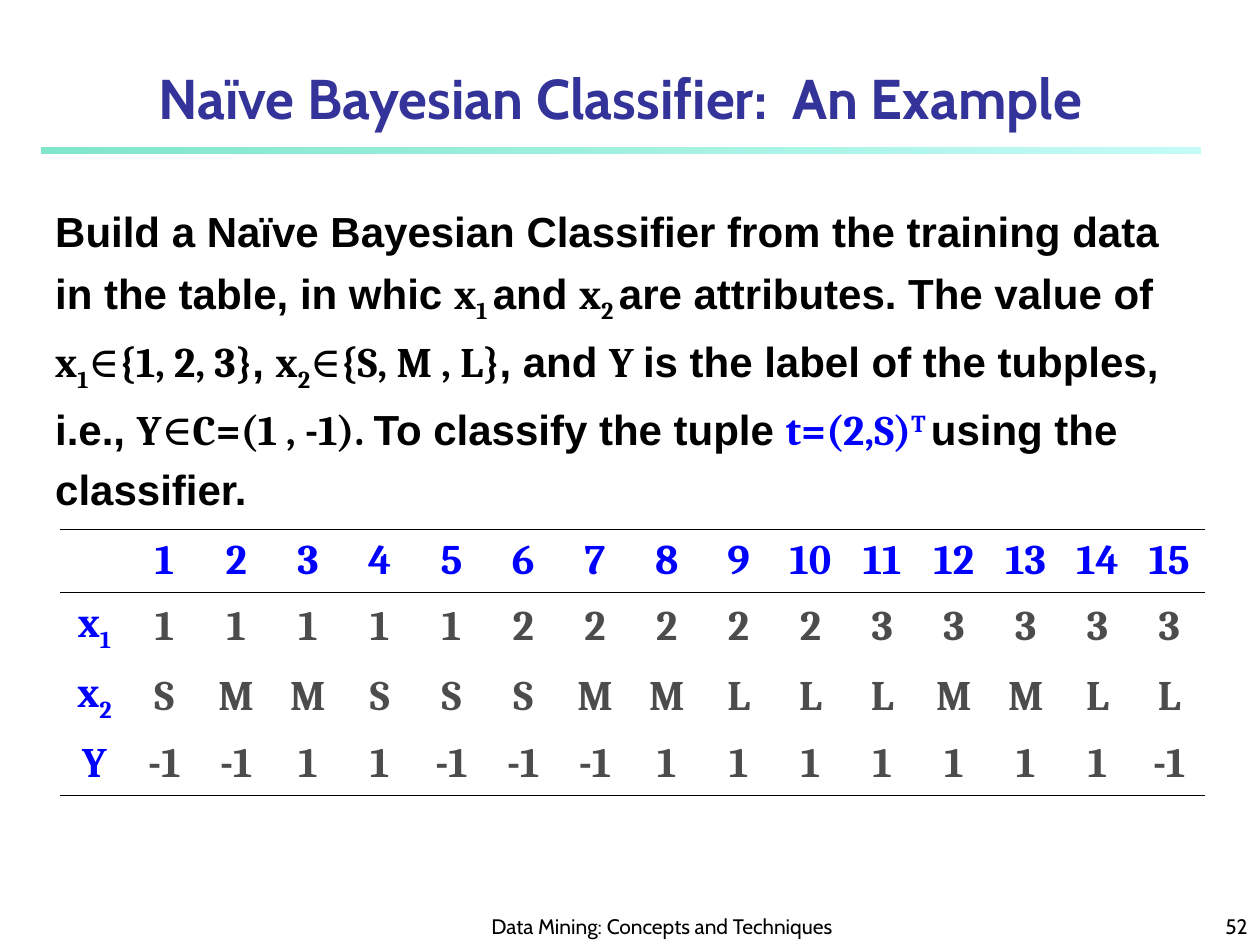
from lxml import etree
from pptx import Presentation
from pptx.dml.color import RGBColor
from pptx.enum.shapes import MSO_SHAPE
from pptx.enum.text import MSO_ANCHOR, PP_ALIGN
from pptx.oxml.ns import qn
from pptx.util import Inches, Pt

RECTANGLE = MSO_SHAPE.RECTANGLE
TOP, MIDDLE, BOTTOM = MSO_ANCHOR.TOP, MSO_ANCHOR.MIDDLE, MSO_ANCHOR.BOTTOM
LEFT, CENTER, RIGHT = PP_ALIGN.LEFT, PP_ALIGN.CENTER, PP_ALIGN.RIGHT

COLORS = {
    "title": "333399",
    "text": "000000",
    "accent": "0000FF",
    "value": "4C4C4C",
    "rule_start": "00CE98",
    "rule_end": "8FF9EF",
}
SUBSCRIPT, SUPERSCRIPT = -25, 30

MATH = {"font": "Cambria"}
SUB = {"font": "Cambria", "baseline": SUBSCRIPT}
ELEMENT = {"font": "Cambria", "bold": False}
TUPLE = {"font": "Cambria", "color": "accent"}
PROBLEM = [
    ("Build a Naïve Bayesian Classifier from the training data in the table, in whic ", {}),
    ("x", MATH), ("1 ", SUB), ("and ", {}), ("x", MATH), ("2 ", SUB),
    ("are attributes. The value of ", {}),
    ("x", MATH), ("1", SUB), ("∈", ELEMENT), ("{1, 2, 3}", MATH), (", ", {}),
    ("x", MATH), ("2", SUB), ("∈", ELEMENT), ("{S, M , L}", MATH), (", and ", {}),
    ("Y ", MATH), ("is the label of the tubples, i.e., ", {}),
    ("Y", MATH), ("∈", ELEMENT), ("C=(1 , -1). ", MATH),
    ("To classify the tuple ", {}), ("t=(2,S)", TUPLE),
    ("T ", {**TUPLE, "baseline": SUPERSCRIPT}), ("using the classifier.", {}),
]
TRAINING_DATA = [
    [""] + [str(number) for number in range(1, 16)],
    ["x1"] + ["1"] * 5 + ["2"] * 5 + ["3"] * 5,
    ["x2"] + "S M M S S S M M L L L M M L L".split(),
    ["Y"] + "-1 -1 1 1 -1 -1 -1 1 1 1 1 1 1 1 -1".split(),
]
ROW_HEIGHTS = [0.43, 0.5, 0.5, 0.43]


def add_span(para, text, size=24, font="Arial", color="text", bold=True, baseline=0):
    """Append a formatted run to a paragraph."""
    span = para.add_run()
    span.text = text
    span.font.size = Pt(size)
    span.font.name = font
    span.font.bold = bold
    span.font.color.rgb = RGBColor.from_string(COLORS[color])
    if baseline:
        span.font._element.set("baseline", str(baseline * 1000))


def add_text(page, left, top, width, height, spans, align=LEFT, anchor=TOP):
    """Add a wrapped one-paragraph text box and return its paragraph."""
    box = page.shapes.add_textbox(Inches(left), Inches(top), Inches(width), Inches(height))
    box.text_frame.word_wrap = True
    box.text_frame.vertical_anchor = anchor
    para = box.text_frame.paragraphs[0]
    para.alignment = align
    for text, style in spans:
        add_span(para, text, **style)
    return para


def add_title_rule(page):
    """Add the translucent gradient bar below the title."""
    rule = page.shapes.add_shape(RECTANGLE, Inches(0.33), Inches(1.17), Inches(9.2), Inches(0.05))
    rule.shadow.inherit = False
    rule.line.fill.background()
    rule.fill.gradient()
    rule.fill.gradient_angle = 0
    stops = zip(rule.fill.gradient_stops, ("rule_start", "rule_end"), (0, 1), (50, 52))
    for stop, color, position, opacity in stops:
        stop.color.rgb = RGBColor.from_string(COLORS[color])
        stop.position = position
        alpha = etree.SubElement(stop._gs.find(qn("a:srgbClr")), qn("a:alpha"))
        alpha.set("val", str(opacity * 1000))


def set_borders(cell, visible):
    """Draw the named cell borders and clear the others."""
    properties = cell._tc.get_or_add_tcPr()
    for index, side in enumerate("LRTB"):
        line = etree.Element(qn(f"a:ln{side}"), w=str(Pt(0.34)))
        if side in visible:
            fill = etree.SubElement(line, qn("a:solidFill"))
            etree.SubElement(fill, qn("a:srgbClr"), val=COLORS["text"])
        else:
            etree.SubElement(line, qn("a:noFill"))
        properties.insert(index, line)


def fill_cell(cell, text, color):
    """Write centred cell text, with the index of a variable as subscript."""
    cell.fill.background()
    cell.vertical_anchor = MIDDLE
    para = cell.text_frame.paragraphs[0]
    para.alignment = CENTER
    if text:
        name, index = (text[0], text[1:]) if text.startswith("x") else (text, "")
        add_span(para, name, font="Cambria", color=color)
        if index:
            add_span(para, index, font="Cambria", color=color, baseline=SUBSCRIPT)


def add_training_table(page):
    """Add the table of training tuples with its three horizontal rules."""
    frame = page.shapes.add_table(
        len(TRAINING_DATA), len(TRAINING_DATA[0]),
        Inches(0.48), Inches(4.2), Inches(9.08), Inches(sum(ROW_HEIGHTS)),
    )
    table = frame.table
    table.first_row = table.horz_banding = False
    for index, column in enumerate(table.columns):
        column.width = Inches(0.57 if index else 0.54)
    borders = ["TB", "T", "", "B"]
    for row, values in enumerate(TRAINING_DATA):
        table.rows[row].height = Inches(ROW_HEIGHTS[row])
        for column, value in enumerate(values):
            cell = table.cell(row, column)
            fill_cell(cell, value, "value" if row and column else "accent")
            set_borders(cell, borders[row])


def main():
    """Build the slide and save the deck."""
    deck = Presentation()
    deck.slide_width, deck.slide_height = Inches(10), Inches(7.5)
    page = deck.slides.add_slide(deck.slide_layouts[6])
    add_title_rule(page)
    title = {"size": 32, "font": "Cabin", "color": "title"}
    add_text(page, 0.33, 0.42, 9.19, 0.67,
             [("Naïve Bayesian Classifier:  An Example", title)], CENTER, BOTTOM)
    problem = add_text(page, 0.32, 1.5, 9.26, 5.58, PROBLEM)
    problem.line_spacing = 1.2
    problem._p.get_or_add_pPr().set("marL", str(Inches(0.02)))
    footer = {"size": 12, "font": "Cabin", "bold": False}
    add_text(page, 3.67, 7.08, 3.17, 0.42,
             [("Data Mining: Concepts and Techniques", footer)], CENTER, BOTTOM)
    add_text(page, 7.92, 7.08, 2.08, 0.42, [("52", footer)], RIGHT, BOTTOM)
    add_training_table(page)
    deck.save("out.pptx")


if __name__ == "__main__":
    main()
